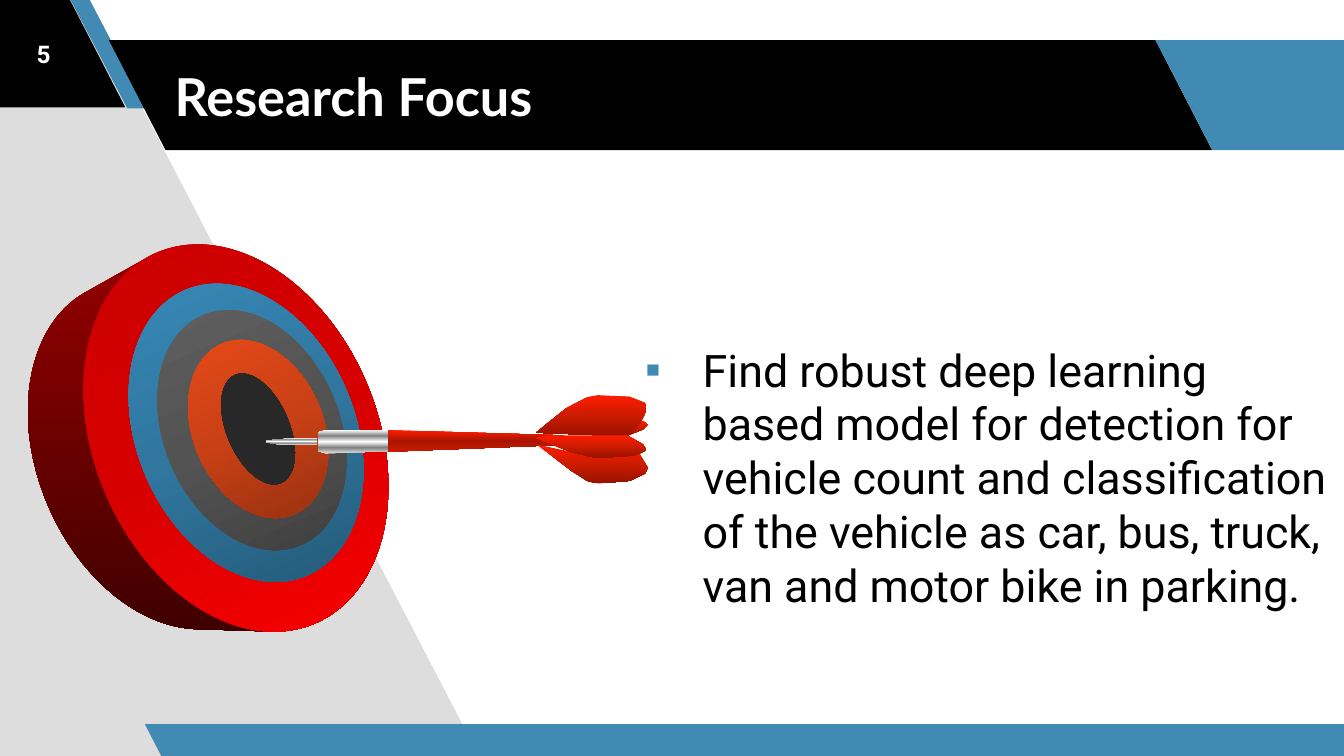
"""Build the Research Focus slide with a dartboard and a bulleted goal."""
import math

import lxml.etree
import pptx
import pptx.dml.color
import pptx.enum.shapes
import pptx.enum.text
import pptx.oxml.ns
import pptx.util

Cm = pptx.util.Cm
RGBColor = pptx.dml.color.RGBColor
Shapes = pptx.enum.shapes.MSO_SHAPE
Align = pptx.enum.text.PP_ALIGN
Anchor = pptx.enum.text.MSO_ANCHOR
qn = pptx.oxml.ns.qn

BLACK = RGBColor(0x00, 0x00, 0x00)
WHITE = RGBColor(0xFF, 0xFF, 0xFF)
BLUE = RGBColor(0x41, 0x8A, 0xB3)
PANEL = RGBColor(0xDD, 0xDD, 0xDD)
BULLSEYE = RGBColor(0x28, 0x28, 0x28)
SILVER = RGBColor(0x80, 0x80, 0x80)
RIM = [RGBColor(0x97, 0x00, 0x00), RGBColor(0x40, 0x00, 0x00)]
RED_RING = [RGBColor(0xC8, 0x00, 0x00), RGBColor(0xD7, 0x00, 0x00), RGBColor(0xFF, 0x00, 0x00)]
BLUE_RING = [RGBColor(0x38, 0x8C, 0xBC), RGBColor(0x30, 0x76, 0x9E), RGBColor(0x21, 0x53, 0x6F)]
GRAY_RING = [RGBColor(0x62, 0x62, 0x62), RGBColor(0x53, 0x53, 0x53), RGBColor(0x3A, 0x3A, 0x3A)]
ORANGE_RING = [RGBColor(0xED, 0x4C, 0x19), RGBColor(0xC8, 0x40, 0x15), RGBColor(0x8C, 0x2D, 0x0F)]
FEATHER = [RGBColor(0xFF, 0x1C, 0x00), RGBColor(0xCC, 0x1B, 0x00), RGBColor(0x96, 0x12, 0x00)]
SHAFT = [RGBColor(0xFF, 0x1C, 0x00), RGBColor(0xA8, 0x14, 0x00), RGBColor(0xCC, 0x1B, 0x00)]
METAL = [WHITE, SILVER, WHITE, SILVER, PANEL]


def paint(shape, colors):
    """Fill a shape from top to bottom with evenly spaced colours."""
    shape.shadow.inherit = False
    shape.line.fill.background()
    if len(colors) == 1:
        shape.fill.solid()
        shape.fill.fore_color.rgb = colors[0]
        return
    shape.fill.gradient()
    shape.fill.gradient_angle = 270
    stops = next(shape.element.iter(qn("a:gsLst")))
    for stop in list(stops):
        stops.remove(stop)
    for index, color in enumerate(colors):
        position = str(round(100000 * index / (len(colors) - 1)))
        stop = lxml.etree.SubElement(stops, qn("a:gs"), pos=position)
        lxml.etree.SubElement(stop, qn("a:srgbClr"), val=str(color))


def draw_outline(points, colors):
    """Draw a closed outline through points given in centimetres."""
    corners = [(Cm(x), Cm(y)) for x, y in points]
    builder = slide.shapes.build_freeform(*corners[0])
    builder.add_line_segments(corners[1:], close=True)
    paint(builder.convert_to_shape(), colors)


def write_text(shape, text, box, font, size, color, bold=False,
               align=Align.LEFT, anchor=Anchor.MIDDLE):
    """Place a text shape and write one formatted paragraph in it."""
    shape.left, shape.top, shape.width, shape.height = map(Cm, box)
    frame = shape.text_frame
    frame.word_wrap = True
    frame.auto_size = pptx.enum.text.MSO_AUTO_SIZE.NONE
    frame.vertical_anchor = anchor
    frame.margin_left = frame.margin_right = Cm(0.25)
    frame.margin_top = frame.margin_bottom = Cm(0.25)
    paragraph = frame.paragraphs[0]
    paragraph.alignment = align
    paragraph.space_before = pptx.util.Pt(0)
    run = paragraph.add_run()
    run.text = text
    run.font.name = font
    run.font.size = pptx.util.Pt(size)
    run.font.bold = bold
    run.font.color.rgb = color
    return paragraph


presentation = pptx.Presentation()
presentation.slide_width = Cm(25.4)
presentation.slide_height = Cm(14.29)
slide = presentation.slides.add_slide(presentation.slide_layouts[1])
title, body = slide.placeholders

draw_outline([(0, 0), (1.63, 0), (9.05, 14.29), (0, 14.29)], [PANEL])

bands = [
    (-2.51, -0.05, 4.88, 2.08, 0.515, BLACK),
    (1.32, -0.03, 1.45, 2.08, 0.75, BLUE),
    (2.06, 0.76, 20.85, 2.08, 0.515, BLACK),
    (21.84, 0.76, 4.88, 2.08, 0.515, BLUE),
    (2.74, 13.69, 23.24, 0.64, 0.515, BLUE),
]
for *box, slant, color in bands:
    band = slide.shapes.add_shape(Shapes.PARALLELOGRAM, *map(Cm, box))
    band.adjustments[0] = slant
    band.element.spPr.find(qn("a:xfrm")).set("flipH", "1")
    paint(band, [color])

board_width, board_height, board_turn = 5.36, 7.62, -23
turn = math.radians(board_turn)
faces = [(4.46, 8.28, 1), (3.12, 8.6, 0.9)]
rim_points = []
for degree in range(0, 360, 3):
    x_way, y_way = math.cos(math.radians(degree)), math.sin(math.radians(degree))
    across = board_width / 2 * (x_way * math.cos(turn) + y_way * math.sin(turn))
    along = board_height / 2 * (y_way * math.cos(turn) - x_way * math.sin(turn))
    reach = math.hypot(across, along)
    across *= board_width / 2 / reach
    along *= board_height / 2 / reach
    x_edge = across * math.cos(turn) - along * math.sin(turn)
    y_edge = across * math.sin(turn) + along * math.cos(turn)
    edges = [(x + scale * x_edge, y + scale * y_edge) for x, y, scale in faces]
    rim_points.append(max(edges, key=lambda edge: edge[0] * x_way + edge[1] * y_way))
draw_outline(rim_points, RIM)

rings = [
    (4.46, 8.28, 1, 0.77, RED_RING),
    (4.65, 8.18, 0.77, 0.62, BLUE_RING),
    (4.76, 8.13, 0.62, 0.46, GRAY_RING),
    (4.91, 8.11, 0.32, 0, [BULLSEYE]),
    (4.88, 8.11, 0.46, 0.31, ORANGE_RING),
]
for x, y, outer, inner, colors in rings:
    width, height = board_width * outer, board_height * outer
    preset = Shapes.DONUT if inner else Shapes.OVAL
    ring = slide.shapes.add_shape(
        preset, Cm(x - width / 2), Cm(y - height / 2), Cm(width), Cm(height))
    ring.rotation = board_turn
    if inner:
        ring.adjustments[0] = (1 - inner / outer) * height / width / 2 + 0.02
    paint(ring, colors)

dart = [
    ([(7.33, 8.13), (7.33, 8.54), (10.67, 8.41), (10.67, 8.23)], SHAFT),
    ([(10.16, 8.41), (10.8, 8.9), (11.1, 9.09), (11.3, 9.14), (11.9, 9.09),
      (12.2, 8.95), (12.24, 8.84), (12.09, 8.59), (11.28, 8.66)], FEATHER),
    ([(12.09, 7.95), (11.86, 8.23), (12.15, 8.12), (12.24, 8.03), (12.2, 7.98)], FEATHER),
    ([(10.13, 8.18), (10.7, 7.72), (11.1, 7.51), (11.3, 7.47), (11.9, 7.5),
      (12.19, 7.62), (12.22, 7.75), (12.1, 8), (11.86, 8.25)], FEATHER),
    ([(10.13, 8.28), (10.31, 8.23), (11.86, 8.23), (12.15, 8.4), (12.22, 8.51),
      (12, 8.61), (11.28, 8.66), (10.8, 8.55)], FEATHER),
    ([(6.15, 8.13), (7.33, 8.13), (7.33, 8.53), (6.15, 8.57)], METAL),
    ([(6.02, 8.17), (6.15, 8.13), (6.15, 8.57), (6.02, 8.53)], METAL),
    ([(5.02, 8.33), (5.33, 8.3), (6, 8.28), (6, 8.41), (5.33, 8.41), (5.02, 8.36)], METAL),
]
for points, colors in dart:
    draw_outline(points, colors)

for placeholder in (title, body):
    slide.shapes.element.append(placeholder.element)

write_text(title, "Research Focus", (3.05, 0.76, 21.03, 2.08),
           font="Lato", size=28, color=WHITE, bold=True)
number = slide.shapes.add_textbox(0, 0, 0, 0)
write_text(number, "5", (0, 0, 1.65, 2.03),
           font="Roboto", size=13, color=WHITE, bold=True, align=Align.CENTER)
goal = write_text(
    body,
    "Find robust deep learning based model for detection for vehicle count and "
    "classification of the vehicle as car, bus, truck, van and motor bike in parking.",
    (11.76, 6.22, 13.69, 8), font="Roboto", size=24, color=BLACK, anchor=Anchor.TOP)
properties = goal._p.get_or_add_pPr()
properties.set("marL", str(Cm(1.27)))
properties.set("indent", str(Cm(-1.09)))
bullet_color = lxml.etree.SubElement(properties, qn("a:buClr"))
lxml.etree.SubElement(bullet_color, qn("a:srgbClr"), val=str(BLUE))
lxml.etree.SubElement(properties, qn("a:buChar"), char="▪")

presentation.save("out.pptx")
